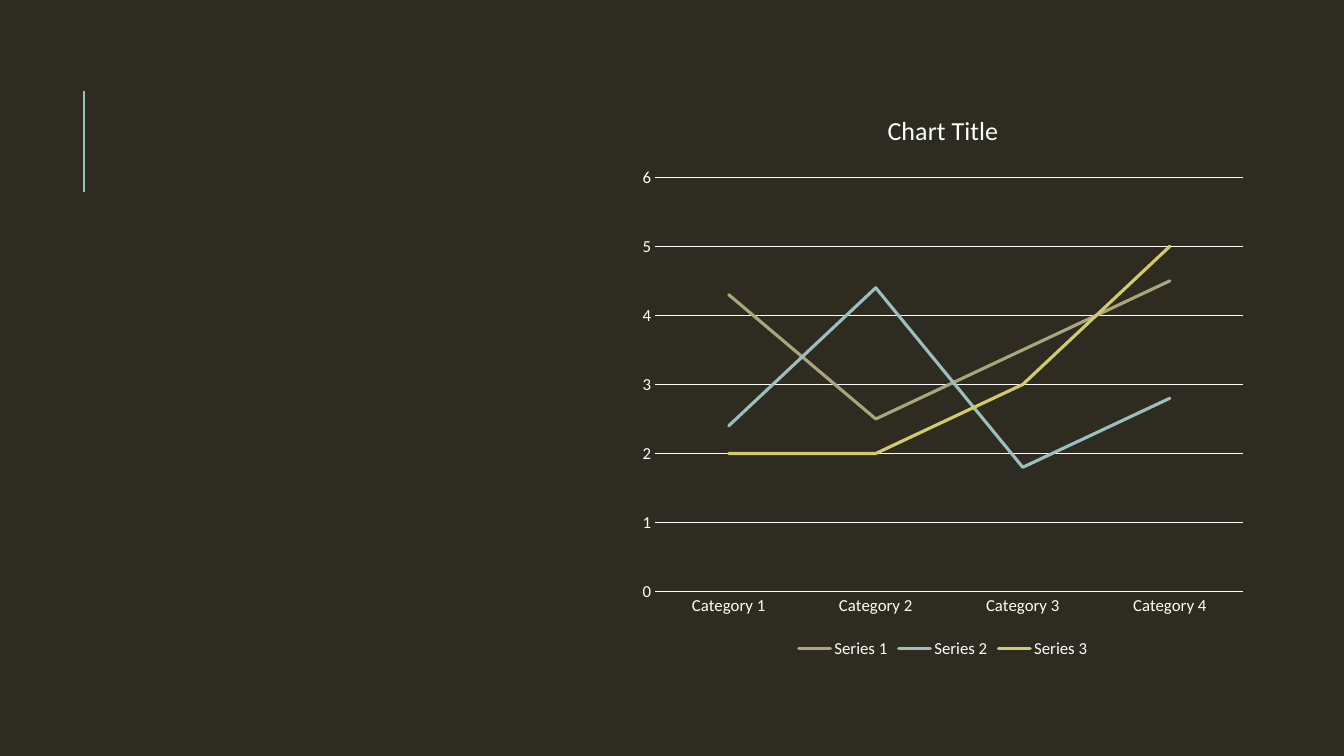
from lxml import etree
from pptx import Presentation
from pptx import util as u
from pptx.chart import data as chart_data
from pptx.dml.color import RGBColor
from pptx.enum import chart as chart_enum
from pptx.enum import shapes
from pptx.oxml import ns


def color(hex_text):
    return RGBColor.from_string(hex_text)


class SlideBuilder:
    font_name = "Calibri"
    background = "2E2B21"
    foreground = "FFFFFF"
    accent = "9CBEBD"
    label_size = 12
    title_size = 18.6

    def __init__(self, slide):
        self.slide = slide
        fill = slide.background.fill
        fill.solid()
        fill.fore_color.rgb = color(self.background)

    def style_line(self, line, hex_text, width):
        line.color.rgb = color(hex_text)
        line.width = u.Pt(width)

    def style_font(self, font, size):
        font.name = self.font_name
        font.size = u.Pt(size)
        font.bold = False
        font.color.rgb = color(self.foreground)

    def add_line(self, start, end):
        connector = self.slide.shapes.add_connector(
            shapes.MSO_CONNECTOR.STRAIGHT, *map(u.Cm, start + end))
        self.style_line(connector.line, self.accent, 1.5)
        etree.SubElement(connector._element.spPr, ns.qn("a:effectLst"))

    def add_line_chart(self, box, title, categories, series_values, series_colors):
        data = chart_data.CategoryChartData()
        data.categories = categories
        for name, values in series_values.items():
            data.add_series(name, values)
        chart = self.slide.shapes.add_chart(
            chart_enum.XL_CHART_TYPE.LINE, *map(u.Cm, box), data).chart
        self.style_font(chart.font, self.label_size)

        chart.has_title = True
        title_frame = chart.chart_title.text_frame
        title_frame.text = title
        self.style_font(title_frame.paragraphs[0].runs[0].font, self.title_size)
        chart.chart_title.include_in_layout = False

        chart.has_legend = True
        chart.legend.position = chart_enum.XL_LEGEND_POSITION.BOTTOM
        chart.legend.include_in_layout = False
        self.style_font(chart.legend.font, self.label_size)

        for axis in (chart.category_axis, chart.value_axis):
            axis.major_tick_mark = chart_enum.XL_TICK_MARK.NONE
            axis.minor_tick_mark = chart_enum.XL_TICK_MARK.NONE
            self.style_font(axis.tick_labels.font, self.label_size)
        self.style_line(chart.category_axis.format.line, self.foreground, 0.75)

        value_axis = chart.value_axis
        value_axis.minimum_scale = 0
        value_axis.maximum_scale = 6
        value_axis.major_unit = 1
        value_axis.format.line.fill.background()
        value_axis.has_major_gridlines = True
        self.style_line(value_axis.major_gridlines.format.line, self.foreground, 0.75)

        plot = chart.plots[0]
        plot.vary_by_categories = False
        for series, hex_text in zip(plot.series, series_colors):
            series.smooth = False
            series.marker.style = chart_enum.XL_MARKER_STYLE.NONE
            self.style_line(series.format.line, hex_text, 2.25)
            series.format.line._ln.set("cap", "rnd")


presentation = Presentation()
presentation.slide_width = u.Cm(33.87)
presentation.slide_height = u.Cm(19.05)
blank_layout = presentation.slide_layouts[6]
builder = SlideBuilder(presentation.slides.add_slide(blank_layout))

builder.add_line((2.12, 4.83), (2.12, 2.29))
builder.add_line_chart(
    box=(15.88, 2.29, 15.77, 14.4),
    title="Chart Title",
    categories=[f"Category {number}" for number in range(1, 5)],
    series_values={
        "Series 1": (4.3, 2.5, 3.5, 4.5),
        "Series 2": (2.4, 4.4, 1.8, 2.8),
        "Series 3": (2, 2, 3, 5),
    },
    series_colors=("A9A57C", builder.accent, "D2CB6C"),
)

presentation.save("out.pptx")
